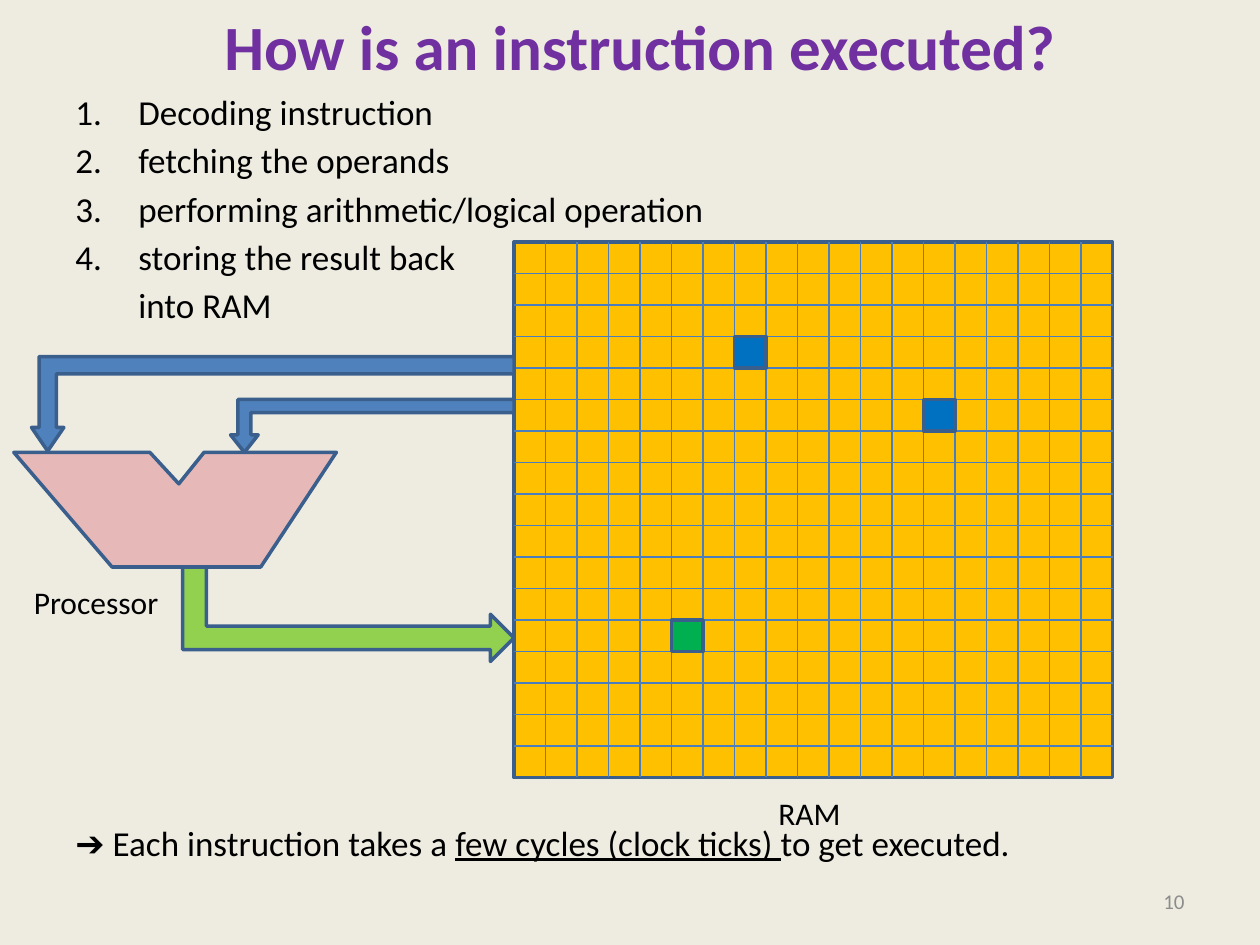
from lxml import etree
from pptx import Presentation
from pptx.dml.color import RGBColor
from pptx.enum.shapes import MSO_CONNECTOR, MSO_SHAPE
from pptx.enum.text import MSO_ANCHOR, PP_ALIGN
from pptx.oxml.ns import qn
from pptx.util import Inches, Pt

RECT = MSO_SHAPE.RECTANGLE
BENT = MSO_SHAPE.BENT_UP_ARROW
LINE = MSO_CONNECTOR.STRAIGHT
TOP, MID = MSO_ANCHOR.TOP, MSO_ANCHOR.MIDDLE
LEFT, MIDDLE, RIGHT = PP_ALIGN.LEFT, PP_ALIGN.CENTER, PP_ALIGN.RIGHT

FONT = "Calibri"
COLORS = {
    "paper": "EEECE1", "title": "7030A0", "text": "000000", "page": "8C8C8C",
    "edge": "3A5F8C", "grid": "4B7EBC", "ram": "FFC000", "alu": "E6B9B8",
    "load": "4F81BD", "store": "92D050", "input": "0070C0", "result": "00B050",
}

# RAM grid: square cells
RAM_X, RAM_Y, CELL = 4.08, 1.92, 0.25
COLS, ROWS = 19, 17

STEPS = [
    "Decoding instruction",
    "fetching the operands",
    "performing arithmetic/logical operation",
    "storing the result back",
]
ALU = [(0.11, 3.59), (1.19, 3.59), (1.42, 3.84), (1.62, 3.59),
       (2.67, 3.59), (2.07, 4.5), (0.89, 4.5)]


def color(name):
    return RGBColor.from_string(COLORS[name])


def add_run(para, text, size, name="text", bold=False, under=False):
    run = para.add_run()
    run.text = text
    font = run.font
    font.name, font.size = FONT, Pt(size)
    font.bold, font.underline = bold, under
    font.color.rgb = color(name)


def add_box(slide, x, y, w, h, anchor=TOP, wrap=True):
    box = slide.shapes.add_textbox(Inches(x), Inches(y), Inches(w), Inches(h))
    frame = box.text_frame
    frame.word_wrap = wrap
    frame.vertical_anchor = anchor
    return frame


def add_label(slide, text, x, y, w, h, size, name="text", align=LEFT,
              anchor=TOP, wrap=True, bold=False):
    frame = add_box(slide, x, y, w, h, anchor, wrap)
    para = frame.paragraphs[0]
    para.alignment = align
    add_run(para, text, size, name, bold)
    return frame


def set_indent(para, left, first=0.0, number=False):
    props = para._p.get_or_add_pPr()
    props.set("marL", str(Inches(left)))
    props.set("indent", str(Inches(first)))
    if number:
        mark = etree.SubElement(props, qn("a:buAutoNum"))
        mark.set("type", "arabicPeriod")


def style(shape, fill):
    shape.shadow.inherit = False
    shape.fill.solid()
    shape.fill.fore_color.rgb = color(fill)
    shape.line.color.rgb = color("edge")
    shape.line.width = Pt(2)


def add_shape(slide, kind, x, y, w, h, fill, turn=0, adjust=()):
    shape = slide.shapes.add_shape(
        kind, Inches(x), Inches(y), Inches(w), Inches(h))
    style(shape, fill)
    shape.rotation = turn
    for i, value in enumerate(adjust):
        shape.adjustments[i] = value


def add_line(slide, x1, y1, x2, y2):
    line = slide.shapes.add_connector(
        LINE, Inches(x1), Inches(y1), Inches(x2), Inches(y2))
    line.line.color.rgb = color("grid")
    line.line.width = Pt(0.75)
    etree.SubElement(line._element.spPr, qn("a:effectLst"))


def add_cell(slide, col, row, fill):
    add_shape(slide, RECT, RAM_X + col * CELL, RAM_Y + row * CELL,
              CELL, CELL, fill)


def add_ram(slide):
    wide, high = COLS * CELL, ROWS * CELL
    add_shape(slide, RECT, RAM_X, RAM_Y, wide, high, "ram")
    for col in range(1, COLS):
        x = RAM_X + col * CELL
        add_line(slide, x, RAM_Y, x, RAM_Y + high)
    for row in range(1, ROWS):
        y = RAM_Y + row * CELL
        add_line(slide, RAM_X, y, RAM_X + wide, y)


def add_alu(slide):
    points = [(Inches(x), Inches(y)) for x, y in ALU]
    build = slide.shapes.build_freeform(*points[0], scale=1.0)
    build.add_line_segments(points[1:], close=True)
    style(build.convert_to_shape(), "alu")


def add_body(slide):
    frame = add_box(slide, 0.5, 0.67, 9, 6.42)
    for i, step in enumerate(STEPS):
        para = frame.add_paragraph() if i else frame.paragraphs[0]
        para.space_before = Pt(3.6)
        set_indent(para, 0.5, -0.5, number=True)
        add_run(para, step, 20)
    para = frame.add_paragraph()
    para.space_before = Pt(3.6)
    set_indent(para, 0.5)
    add_run(para, "into RAM", 20)

    # Conclusion, below the diagram
    para = frame.add_paragraph()
    para.space_before = Pt(283)
    add_run(para, "➔ Each instruction takes a ", 20)
    add_run(para, "few cycles (clock ticks) ", 20, under=True)
    add_run(para, "to get executed.", 20)


def main():
    deck = Presentation()
    deck.slide_width, deck.slide_height = Inches(10), Inches(7.5)
    slide = deck.slides.add_slide(deck.slide_layouts[6])
    slide.background.fill.solid()
    slide.background.fill.fore_color.rgb = color("paper")

    # Title, text and page number
    title = add_label(slide, "How is an instruction executed?", 0.58, 0.04,
                      9, 1.25, 36, "title", MIDDLE, bold=True)
    title.margin_top = Inches(0.02)
    add_body(slide)
    add_label(slide, "10", 7.17, 6.95, 2.33, 0.4, 12, "page", RIGHT, MID)

    # Memory and processor
    add_ram(slide)
    add_label(slide, "RAM", 6.08, 6.25, 0.7, 0.4, 18, wrap=False)
    add_label(slide, "Processor", 0.17, 4.58, 1.2, 0.4, 18, wrap=False)
    add_alu(slide)

    # Data paths
    add_shape(slide, BENT, 0.25, 2.83, 3.83, 0.75, "load", 180,
              (0.182, 0.171, 0.25))
    add_shape(slide, BENT, 1.83, 3.17, 2.25, 0.42, "load", 180,
              (0.247, 0.261, 0.331))
    add_shape(slide, BENT, 2.39, 3.56, 0.75, 2.63, "store", 90)

    # Operands and result in memory
    for col, row, fill in ((7, 3, "input"), (13, 5, "input"),
                           (5, 12, "result")):
        add_cell(slide, col, row, fill)

    deck.save("out.pptx")


if __name__ == "__main__":
    main()
